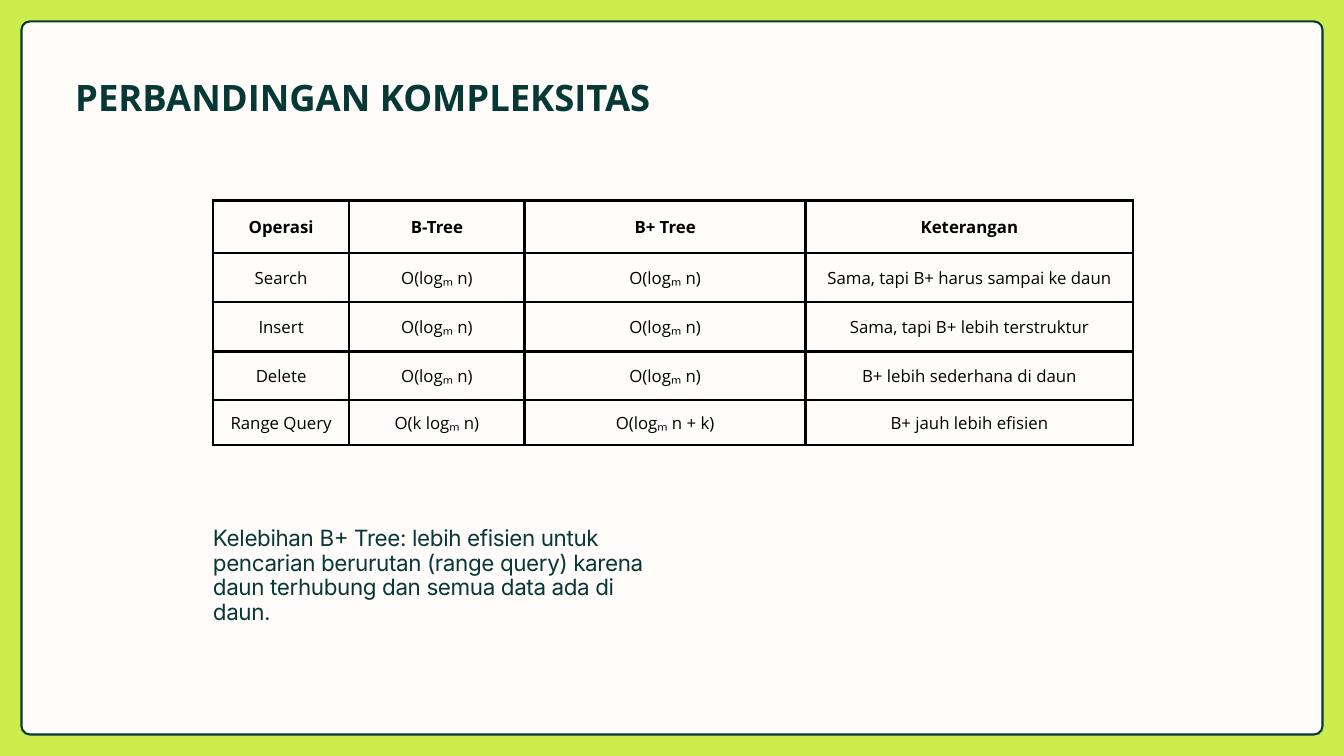
from lxml import etree
from pptx import Presentation
from pptx.dml.color import RGBColor
from pptx.enum.shapes import MSO_SHAPE
from pptx.enum.text import MSO_ANCHOR, PP_ALIGN
from pptx.oxml.ns import qn
from pptx.util import Pt

ROUNDED = MSO_SHAPE.ROUNDED_RECTANGLE
MIDDLE = MSO_ANCHOR.MIDDLE
LEFT, CENTER = PP_ALIGN.LEFT, PP_ALIGN.CENTER

LIME, CREAM, GREEN, BLACK = "CCEC4B", "FFFCFA", "063935", "000000"
HEADING_FONT, BODY_FONT = "Open Sans", "Inter"

COLUMN_WIDTHS = [146, 188, 301, 351]
ROW_HEIGHTS = [56.2, 52.6, 53.3, 51.8, 48.2]
COMPLEXITY_ROWS = [
    ["Operasi", "B-Tree", "B+ Tree", "Keterangan"],
    ["Search", "O(logₘ n)", "O(logₘ n)", "Sama, tapi B+ harus sampai ke daun"],
    ["Insert", "O(logₘ n)", "O(logₘ n)", "Sama, tapi B+ lebih terstruktur"],
    ["Delete", "O(logₘ n)", "O(logₘ n)", "B+ lebih sederhana di daun"],
    ["Range Query", "O(k logₘ n)", "O(logₘ n + k)", "B+ jauh lebih efisien"],
]


def color(value):
    return RGBColor.from_string(value)


def set_cell_borders(cell, line_color, width):
    properties = cell._tc.get_or_add_tcPr()
    for index, side in enumerate(("lnL", "lnR", "lnT", "lnB")):
        line = etree.Element(qn(f"a:{side}"), w=str(Pt(width)))
        fill = etree.SubElement(line, qn("a:solidFill"))
        etree.SubElement(fill, qn("a:srgbClr"), val=line_color)
        properties.insert(index, line)


class SlideBuilder:
    def __init__(self, page, background):
        self.page = page
        page.background.fill.solid()
        page.background.fill.fore_color.rgb = color(background)

    def fill_frame(self, frame, text, font, size, text_color, leading,
                   bold=False, align=LEFT, tracking=0):
        frame.word_wrap = True
        para = frame.paragraphs[0]
        para.alignment = align
        para.line_spacing = Pt(leading)
        para.font.name = font
        para.font.size = Pt(size)
        para.font.bold = bold
        para.font.color.rgb = color(text_color)
        span = para.add_run()
        span.text = text
        if tracking:
            span._r.get_or_add_rPr().set("spc", str(round(tracking * 100)))

    def card(self, left, top, width, height, radius, fill, line, line_width):
        box = self.page.shapes.add_shape(
            ROUNDED, Pt(left), Pt(top), Pt(width), Pt(height))
        box.adjustments[0] = radius / min(width, height)
        box.shadow.inherit = False
        box.fill.solid()
        box.fill.fore_color.rgb = color(fill)
        box.line.color.rgb = color(line)
        box.line.width = Pt(line_width)

    def text(self, left, top, width, height, text, **style):
        box = self.page.shapes.add_textbox(
            Pt(left), Pt(top), Pt(width), Pt(height))
        frame = box.text_frame
        frame.margin_left = frame.margin_right = 0
        frame.margin_top = frame.margin_bottom = 0
        self.fill_frame(frame, text, **style)

    def table(self, left, top, widths, heights, rows):
        table = self.page.shapes.add_table(
            len(rows), len(widths), Pt(left), Pt(top),
            Pt(sum(widths)), Pt(sum(heights))).table
        table.first_row = table.horz_banding = False
        for column, width in zip(table.columns, widths):
            column.width = Pt(width)
        for row, height in zip(table.rows, heights):
            row.height = Pt(height)
        for row_index, values in enumerate(rows):
            for column_index, value in enumerate(values):
                cell = table.cell(row_index, column_index)
                cell.fill.background()
                cell.vertical_anchor = MIDDLE
                cell.margin_left = cell.margin_right = Pt(6)
                cell.margin_top = cell.margin_bottom = Pt(6)
                set_cell_borders(cell, BLACK, 3)
                self.fill_frame(cell.text_frame, value, HEADING_FONT, 18,
                                BLACK, 25.2, bold=row_index == 0, align=CENTER)


def main():
    deck = Presentation()
    deck.slide_width, deck.slide_height = Pt(1440), Pt(810)
    builder = SlideBuilder(deck.slides.add_slide(deck.slide_layouts[6]), LIME)

    builder.card(23, 23, 1394, 764, 9, CREAM, GREEN, 2.25)
    builder.table(228.2, 214.6, COLUMN_WIDTHS, ROW_HEIGHTS, COMPLEXITY_ROWS)
    builder.text(80.6, 84.2, 644.4, 44, "PERBANDINGAN KOMPLEKSITAS",
                 font=HEADING_FONT, size=39, text_color=GREEN,
                 leading=42.9, bold=True)
    builder.text(228.2, 564.5, 496.8, 78.5,
                 "Kelebihan B+ Tree: lebih efisien untuk pencarian berurutan "
                 "(range query) karena daun terhubung dan semua data ada di daun.",
                 font=BODY_FONT, size=24, text_color=GREEN,
                 leading=26.2, tracking=-0.4)

    deck.save("out.pptx")


if __name__ == "__main__":
    main()
